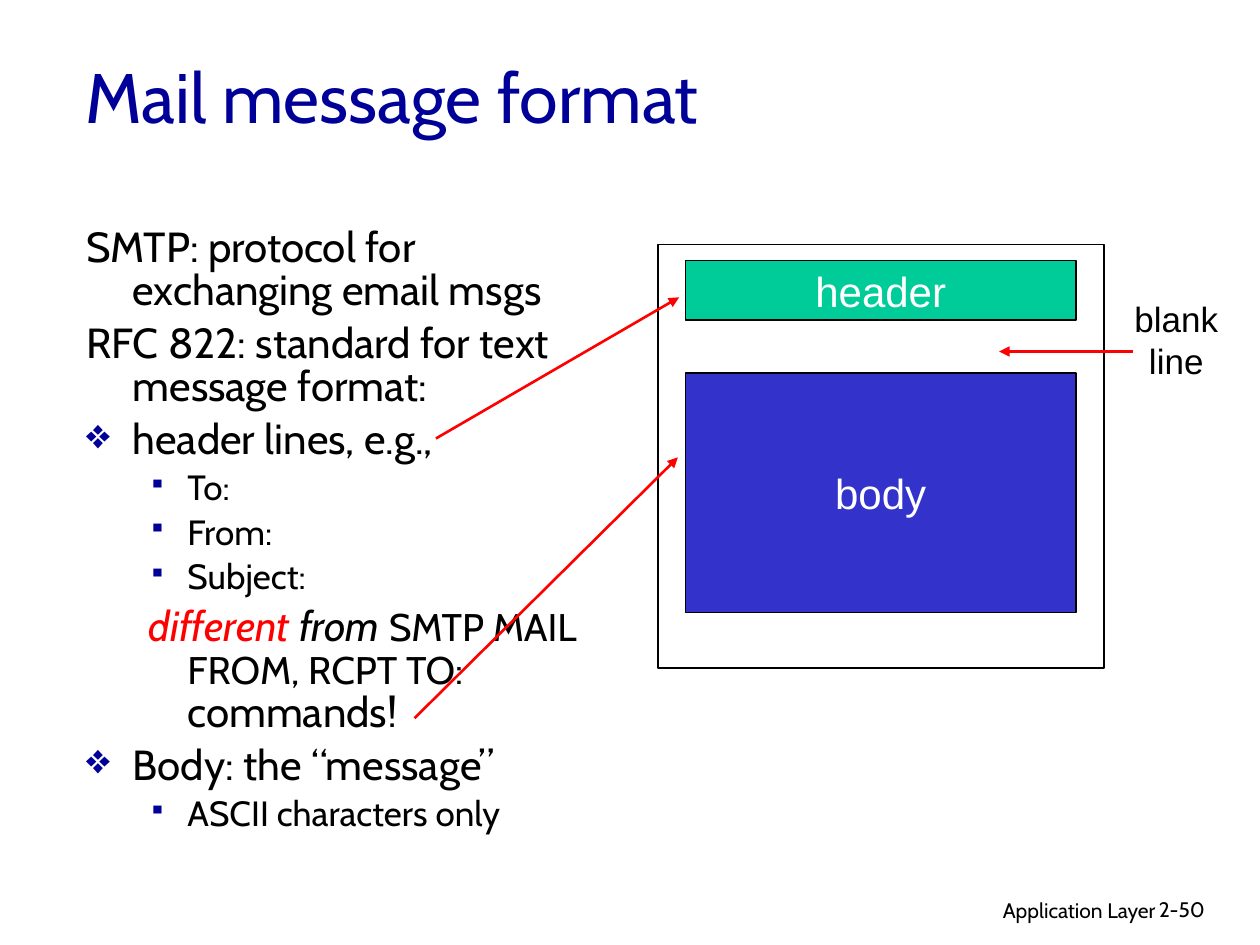
from dataclasses import dataclass

from lxml.etree import SubElement
from pptx import Presentation
from pptx.dml.color import RGBColor
from pptx.enum.shapes import MSO_CONNECTOR as Connector, MSO_SHAPE as Shape
from pptx.enum.text import MSO_ANCHOR as Anchor, MSO_AUTO_SIZE as AutoSize, PP_ALIGN as Align
from pptx.oxml.ns import qn
from pptx.util import Emu, Inches, Pt

COLUMNS, ROWS = 100, 75
WIDTH, HEIGHT = Inches(10), Inches(7.5)
BLACK, WHITE, NAVY, RED = "000000", "FFFFFF", "000099", "FF0000"


@dataclass(frozen=True)
class Area:
    """A rectangle in grid columns and rows."""
    column: float
    row: float
    columns: float
    rows: float


@dataclass(frozen=True)
class Run:
    """A stretch of text with one format."""
    text: str
    size: float = 24
    color: str = BLACK
    italic: bool = False


@dataclass(frozen=True)
class Item:
    """A paragraph of the outline."""
    runs: tuple[Run, ...]
    level: int = 0
    bullet: str = ""
    bullet_percent: int = 100
    before: float = 6


@dataclass(frozen=True)
class Block:
    """A rectangle of the message diagram."""
    area: Area
    label: str = ""
    fill: str = ""
    line: float = 0.75


@dataclass(frozen=True)
class Arrow:
    """An arrow between two grid points."""
    start: tuple[float, float]
    end: tuple[float, float]


def plain(text: str) -> Item:
    """Describe an unmarked top-level paragraph."""
    return Item((Run(text),))


def topic(text: str) -> Item:
    """Describe a top-level bullet."""
    return Item((Run(text),), bullet="❖")


def detail(text: str) -> Item:
    """Describe a second-level bullet."""
    return Item((Run(text, 20),), 1, "▪", 70, 5)


OUTLINE = (
    plain("SMTP: protocol for exchanging email msgs"),
    plain("RFC 822: standard for text message format:"),
    topic("header lines, e.g.,"),
    *map(detail, ("To:", "From:", "Subject:")),
    Item((Run("different ", color=RED, italic=True), Run("from ", italic=True),
          Run("SMTP MAIL FROM, RCPT TO:", 22), Run(" commands!")), 1),
    topic("Body: the “message”"),
    detail("ASCII characters only"),
)
BLOCKS = (
    Block(Area(54.4, 20.7, 31, 4.7), "header", "00CC99"),
    Block(Area(54.4, 29.6, 31, 19), "body", "3333CC"),
    Block(Area(52.2, 19.4, 35.4, 33.6), line=1),
)
ARROWS = (
    Arrow((34.6, 34.8), (53.9, 23.6)),
    Arrow((32.9, 57), (53.8, 36.3)),
    Arrow((89.9, 27.9), (79.3, 27.9)),
)


def rgb(color: str) -> RGBColor:
    """Turn a hex string into a colour."""
    return RGBColor.from_string(color)


def across(columns: float) -> Emu:
    """Convert grid columns to a length."""
    return Emu(round(WIDTH * columns / COLUMNS))


def down(rows: float) -> Emu:
    """Convert grid rows to a length."""
    return Emu(round(HEIGHT * rows / ROWS))


def place(area: Area) -> tuple[Emu, Emu, Emu, Emu]:
    """Convert an area to left, top, width and height."""
    return across(area.column), down(area.row), across(area.columns), down(area.rows)


def add_run(paragraph, text: str, *, size: float, color: str = BLACK,
            font: str = "Cabin", italic: bool = False) -> None:
    """Append formatted text to a paragraph."""
    run = paragraph.add_run()
    run.text = text
    run.font.name, run.font.size, run.font.italic = font, Pt(size), italic
    run.font.color.rgb = rgb(color)


def write(frame, text: str, *, align=Align.LEFT, anchor=Anchor.TOP,
          wrap: bool = True, grow: bool = False, **font) -> None:
    """Fill a text frame with one paragraph per line."""
    frame.word_wrap, frame.vertical_anchor = wrap, anchor
    frame.auto_size = AutoSize.SHAPE_TO_FIT_TEXT if grow else AutoSize.NONE
    for index, line in enumerate(text.split("\n")):
        paragraph = frame.add_paragraph() if index else frame.paragraphs[0]
        paragraph.alignment = align
        add_run(paragraph, line, **font)


def add_text(slide, area: Area, text: str, **style) -> None:
    """Add a text box."""
    write(slide.shapes.add_textbox(*place(area)).text_frame, text, **style)


def indent(paragraph, item: Item) -> None:
    """Set the hanging indent and bullet of a paragraph."""
    margin, hang = ((3.75, 3.7), (8.1, 3.1))[item.level]
    properties = paragraph._p.get_or_add_pPr()
    properties.set("marL", str(across(margin)))
    properties.set("indent", str(-across(hang)))
    if item.bullet:
        color = SubElement(properties, qn("a:buClr"))
        SubElement(color, qn("a:srgbClr"), val=NAVY)
        SubElement(properties, qn("a:buSzPct"), val=str(item.bullet_percent * 1000))
        SubElement(properties, qn("a:buChar"), char=item.bullet)
    else:
        SubElement(properties, qn("a:buNone"))


def add_outline(slide, area: Area, items: tuple[Item, ...]) -> None:
    """Add the outline text."""
    frame = slide.shapes.add_textbox(*place(area)).text_frame
    frame.word_wrap = True
    for index, item in enumerate(items):
        paragraph = frame.add_paragraph() if index else frame.paragraphs[0]
        indent(paragraph, item)
        paragraph.level, paragraph.line_spacing = item.level, 0.85
        paragraph.space_before = Pt(item.before if index else 0)
        for run in item.runs:
            add_run(paragraph, run.text, size=run.size, color=run.color, italic=run.italic)


def add_block(slide, block: Block) -> None:
    """Add a rectangle of the diagram."""
    shape = slide.shapes.add_shape(Shape.RECTANGLE, *place(block.area))
    shape.shadow.inherit = False
    shape.line.color.rgb, shape.line.width = rgb(BLACK), Pt(block.line)
    if block.fill:
        shape.fill.solid()
        shape.fill.fore_color.rgb = rgb(block.fill)
    else:
        shape.fill.background()
    if block.label:
        write(shape.text_frame, block.label, align=Align.CENTER, anchor=Anchor.MIDDLE,
              wrap=False, size=24, color=WHITE, font="Arial")


def add_arrow(slide, arrow: Arrow) -> None:
    """Add a red arrow."""
    (x1, y1), (x2, y2) = arrow.start, arrow.end
    connector = slide.shapes.add_connector(
        Connector.STRAIGHT, across(x1), down(y1), across(x2), down(y2))
    connector.line.color.rgb, connector.line.width = rgb(RED), Pt(1.5)
    SubElement(connector.line._get_or_add_ln(), qn("a:tailEnd"), type="triangle")
    SubElement(connector._element.spPr, qn("a:effectLst"))


def main() -> None:
    """Build and save the slide."""
    presentation = Presentation()
    presentation.slide_width, presentation.slide_height = WIDTH, HEIGHT
    slide = presentation.slides.add_slide(presentation.slide_layouts[6])
    add_text(slide, Area(61, 70.7, 31.7, 3.1), "Application Layer", size=12, align=Align.RIGHT)
    add_text(slide, Area(91, 70.7, 7.4, 3), "2-50", size=12)
    add_text(slide, Area(5.8, 1.3, 85, 12.5), "Mail message format",
             size=40, color=NAVY, anchor=Anchor.MIDDLE)
    add_outline(slide, Area(5.8, 17.6, 41.7, 50.8), OUTLINE)
    for block in BLOCKS:
        add_block(slide, block)
    add_text(slide, Area(88.9, 23.1, 8.9, 7.7), "blank\nline", size=20, font="Arial",
             align=Align.CENTER, wrap=False, grow=True)
    for arrow in ARROWS:
        add_arrow(slide, arrow)
    presentation.save("out.pptx")


if __name__ == "__main__":
    main()
